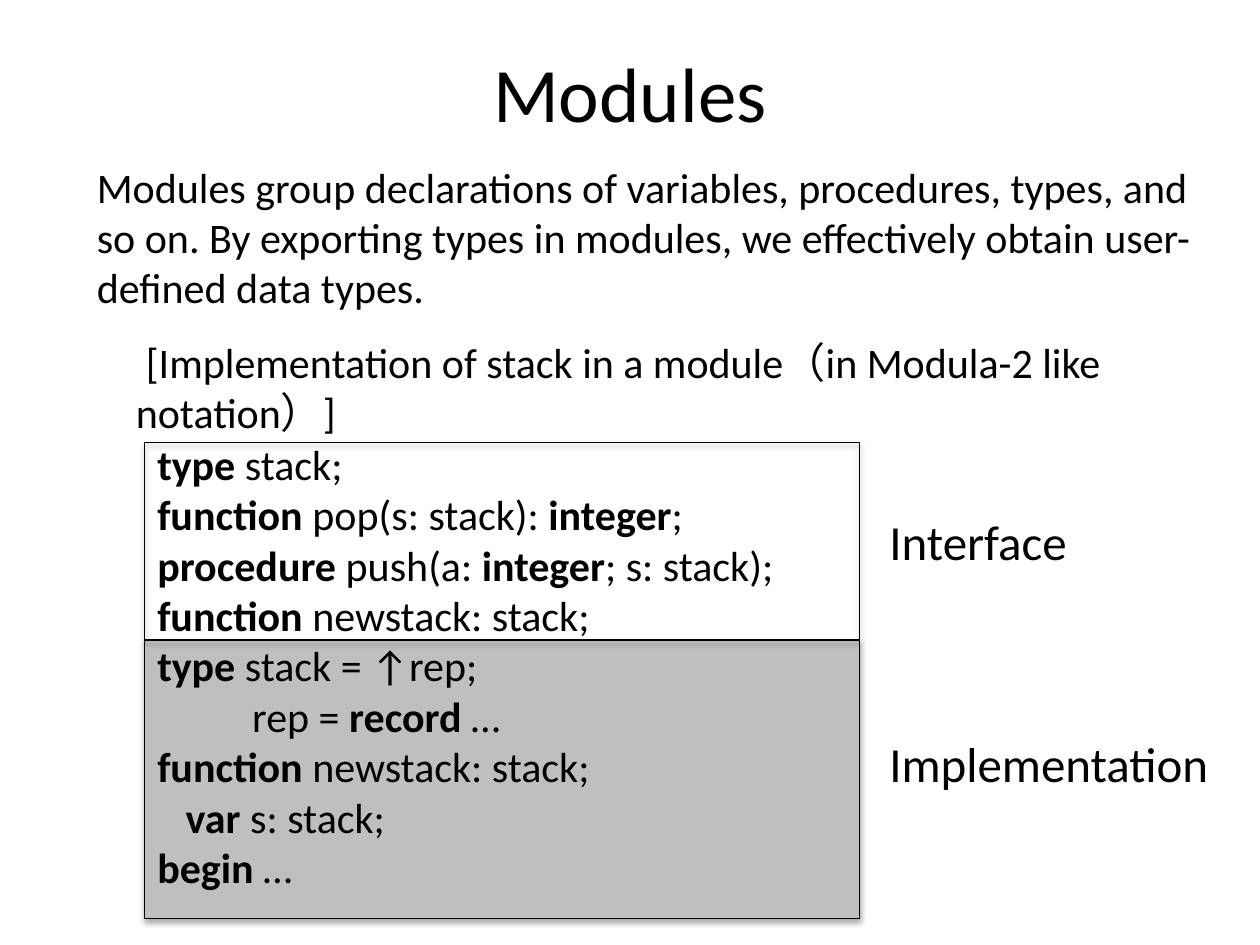
from lxml.etree import SubElement
from pptx import Presentation
from pptx.dml.color import RGBColor
from pptx.enum.shapes import MSO_SHAPE as Shape
from pptx.enum.text import MSO_ANCHOR as Anchor, PP_ALIGN as Align
from pptx.oxml.ns import qn
from pptx.util import Inches, Pt

BLACK = RGBColor(0x00, 0x00, 0x00)
GRAY = RGBColor(0xBF, 0xBF, 0xBF)
FONT = "Calibri"

# Keywords between asterisks are bold.
INTERFACE_CODE = [
    "*type* stack;",
    "*function* pop(s: stack): *integer*;",
    "*procedure* push(a: *integer*; s: stack);",
    "*function *newstack: stack;",
]
IMPLEMENTATION_CODE = [
    "*type* stack = ↑rep;",
    "          rep = *record* …",
    "*function *newstack: stack;",
    "   *var* s: stack;",
    "*begin* …",
]


def add_text(slide, box, lines, size, wrap=True, align=Align.LEFT, anchor=Anchor.TOP):
    """Add a text box with one paragraph per line; *asterisks* mark bold."""
    frame = slide.shapes.add_textbox(*map(Inches, box)).text_frame
    frame.word_wrap = wrap
    frame.vertical_anchor = anchor
    for number, line in enumerate(lines):
        paragraph = frame.add_paragraph() if number else frame.paragraphs[0]
        paragraph.alignment = align
        paragraph.font.name = FONT
        paragraph.font.size = Pt(size)
        paragraph.font.color.rgb = BLACK
        for position, part in enumerate(line.split("*")):
            if part:
                run = paragraph.add_run()
                run.text = part
                run.font.bold = position % 2 == 1
    return frame


def add_drop_shadow(shape):
    shape.shadow.inherit = False
    effects = shape._element.spPr.find(qn("a:effectLst"))
    shadow = SubElement(effects, qn("a:outerShdw"), blurRad="40000",
                        dist="23000", dir="5400000", rotWithShape="0")
    color = SubElement(shadow, qn("a:srgbClr"), val=str(BLACK))
    SubElement(color, qn("a:alpha"), val="35000")


def add_panel(slide, box, fill=None):
    panel = slide.shapes.add_shape(Shape.RECTANGLE, *map(Inches, box))
    if fill is None:
        panel.fill.background()
    else:
        panel.fill.solid()
        panel.fill.fore_color.rgb = fill
    panel.line.color.rgb = BLACK
    panel.line.width = Pt(0.75)
    add_drop_shadow(panel)


def add_module(slide, left, top, width, interface_height, implementation_height):
    """Stack the two panels, lay the code over both and label them."""
    middle = top + interface_height
    label_left = left + width + 0.14
    add_panel(slide, (left, middle, width, implementation_height), GRAY)
    add_panel(slide, (left, top, width, interface_height))
    add_text(slide, (label_left, top + 0.5, 1.62, 0.57), ["Interface"], 28, wrap=False)
    add_text(slide, (label_left, middle + 0.69, 2.76, 0.57), ["Implementation"], 28,
             wrap=False)
    add_text(slide, (left, top - 0.08, width - 0.1, 3.74),
             INTERFACE_CODE + IMPLEMENTATION_CODE, 24)


def add_introduction(slide, left, top, width):
    add_text(slide, (left, top, width, 1.31), [
        "Modules group declarations of variables, procedures, types, and so on. "
        "By exporting types in modules, we effectively obtain user-defined data types."
    ], 24)
    caption = add_text(slide, (left + 0.31, top + 1.39, 8.27, 0.91), [
        "[Implementation of stack in a module（in Modula-2 like notation）]"
    ], 24)
    caption.paragraphs[0]._p.get_or_add_pPr().set("indent", str(Inches(0.08)))


def main():
    presentation = Presentation()
    presentation.slide_width = Inches(10)
    presentation.slide_height = Inches(7.5)
    slide = presentation.slides.add_slide(presentation.slide_layouts[6])
    add_text(slide, (0.5, 0.3, 9, 0.85), ["Modules"], 44,
             align=Align.CENTER, anchor=Anchor.MIDDLE)
    add_introduction(slide, 0.67, 1.23, 9.06)
    add_module(slide, 1.15, 3.51, 5.67, 1.57, 2.21)
    presentation.save("out.pptx")


if __name__ == "__main__":
    main()
